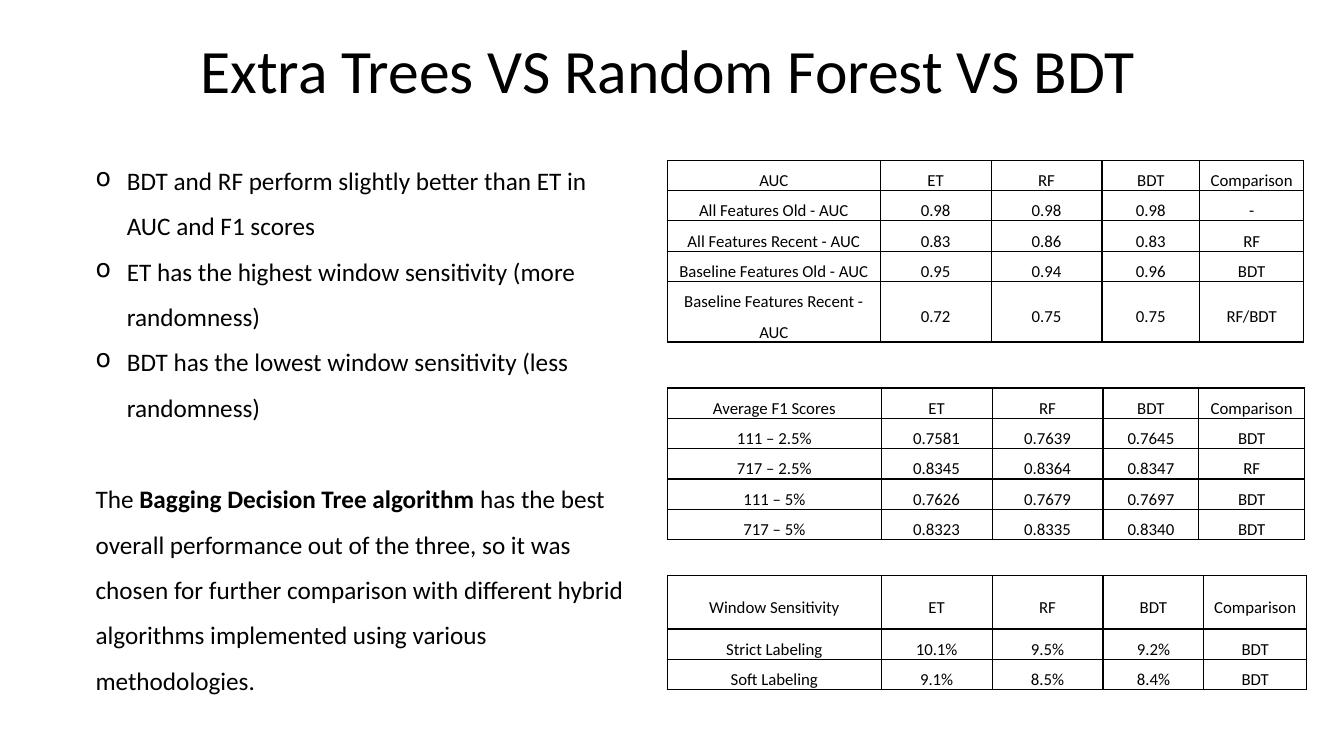
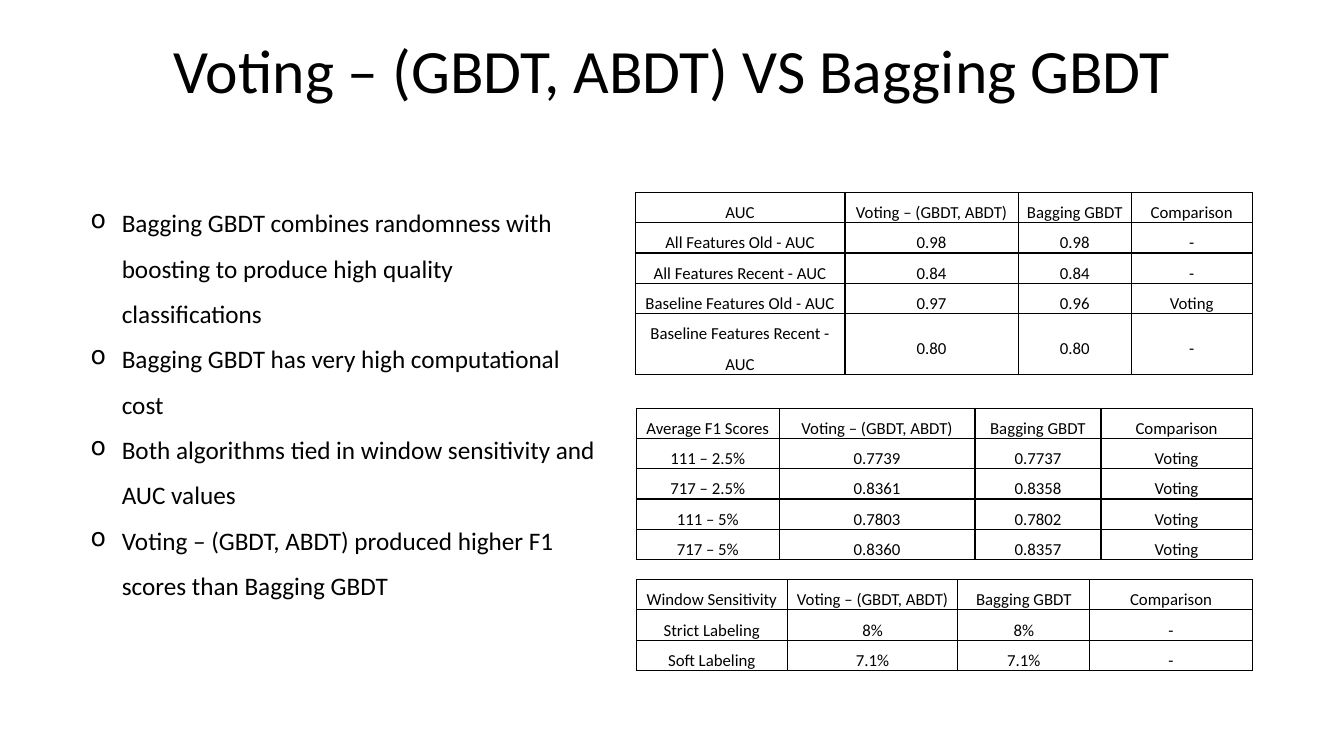
"""Builds two slides that compare tree ensembles by score tables."""
import dataclasses

import lxml.etree
import pptx
import pptx.dml.color
import pptx.enum.text
import pptx.oxml.ns
import pptx.slide
import pptx.table
import pptx.text.text
import pptx.util

SCALE = 9144


@dataclasses.dataclass(frozen=True)
class Theme:
    """Colours, font and type sizes."""
    ink: str = "000000"
    font: str = "Calibri"
    head: int = 44
    body: int = 18
    cell: int = 12
    rule: int = 1
    gap: int = 33


@dataclasses.dataclass(frozen=True)
class Box:
    """A place on the slide in px."""
    left: int
    top: int
    width: int
    height: int


@dataclasses.dataclass(frozen=True)
class Para:
    """A body paragraph of (text, bold) runs."""
    runs: tuple[tuple[str, bool], ...]
    bullet: bool = True


@dataclasses.dataclass(frozen=True)
class Grid:
    """A score table: corner label, row labels and values by row."""
    left: int
    top: int
    widths: tuple[int, ...]
    labels: tuple[str, ...]
    values: tuple[tuple[str, ...], ...]
    first: int = 30


@dataclasses.dataclass(frozen=True)
class Page:
    """All that one slide shows."""
    title: str
    place: Box
    notes: Box
    paras: tuple[Para, ...]
    heads: tuple[str, ...]
    grids: tuple[Grid, ...]


THEME = Theme()
ROW = 30
INDENT = 31
INSET = 7
AUC = ("AUC", "All Features Old - AUC", "All Features Recent - AUC",
       "Baseline Features Old - AUC", "Baseline Features Recent - AUC")
SCORES = ("Average F1 Scores", "111 – 2.5%", "717 – 2.5%", "111 – 5%", "717 – 5%")
WINDOW = ("Window Sensitivity", "Strict Labeling", "Soft Labeling")


def points(*texts: str) -> tuple[Para, ...]:
    """Make one plain bullet of each text."""
    return tuple(Para(((text, False),)) for text in texts)


PAGES = (
    Page(
        "Extra Trees VS Random Forest VS BDT",
        Box(94, 0, 1137, 145),
        Box(85, 144, 547, 596),
        points(
            "BDT and RF perform slightly better than ET in AUC and F1 scores",
            "ET has the highest window sensitivity (more randomness)",
            "BDT has the lowest window sensitivity (less randomness)",
        ) + (Para((
            ("The ", False),
            ("Bagging Decision Tree algorithm ", True),
            ("has the best overall performance out of the three, so it was chosen "
             "for further comparison with different hybrid algorithms implemented "
             "using various methodologies.", False),
        ), bullet=False),),
        ("ET", "RF", "BDT", "Comparison"),
        (
            Grid(662, 385, (212, 110, 110, 95, 105), SCORES, (
                ("0.7581", "0.7639", "0.7645", "BDT"),
                ("0.8345", "0.8364", "0.8347", "RF"),
                ("0.7626", "0.7679", "0.7697", "BDT"),
                ("0.8323", "0.8335", "0.8340", "BDT"))),
            Grid(662, 571, (212, 110, 110, 100, 102), WINDOW, (
                ("10.1%", "9.5%", "9.2%", "BDT"),
                ("9.1%", "8.5%", "8.4%", "BDT")), first=53),
            Grid(662, 159, (211, 110, 110, 97, 103), AUC, (
                ("0.98", "0.98", "0.98", "-"),
                ("0.83", "0.86", "0.83", "RF"),
                ("0.95", "0.94", "0.96", "BDT"),
                ("0.72", "0.75", "0.75", "RF/BDT"))),
        ),
    ),
    Page(
        "Voting – (GBDT, ABDT) VS Bagging GBDT",
        Box(92, 0, 1150, 145),
        Box(80, 186, 523, 414),
        points(
            "Bagging GBDT combines randomness with boosting to produce high quality "
            "classifications",
            "Bagging GBDT has very high computational cost",
            "Both algorithms tied in window sensitivity and AUC values",
            "Voting – (GBDT, ABDT) produced higher F1 scores than Bagging GBDT",
        ),
        ("Voting – (GBDT, ABDT)", "Bagging GBDT", "Comparison"),
        (
            Grid(631, 405, (142, 194, 125, 150), SCORES, (
                ("0.7739", "0.7737", "Voting"),
                ("0.8361", "0.8358", "Voting"),
                ("0.7803", "0.7802", "Voting"),
                ("0.8360", "0.8357", "Voting"))),
            Grid(631, 575, (150, 169, 131, 161), WINDOW, (
                ("8%", "8%", "-"),
                ("7.1%", "7.1%", "-"))),
            Grid(630, 191, (208, 172, 112, 120), AUC, (
                ("0.98", "0.98", "-"),
                ("0.84", "0.84", "-"),
                ("0.97", "0.96", "Voting"),
                ("0.80", "0.80", "-"))),
        ),
    ),
)


def px(count: int) -> pptx.util.Emu:
    """Turn px into EMU."""
    return pptx.util.Emu(count * SCALE)


def style(para: pptx.text.text._Paragraph, size: int, lines: float,
          center: bool = True) -> None:
    """Set spacing, alignment and font of a paragraph."""
    align = pptx.enum.text.PP_ALIGN
    para.alignment = align.CENTER if center else align.LEFT
    para.line_spacing = lines
    para.font.size = pptx.util.Pt(size)
    para.font.name = THEME.font
    para.font.color.rgb = pptx.dml.color.RGBColor.from_string(THEME.ink)


def frame(slide: pptx.slide.Slide, box: Box) -> pptx.text.text.TextFrame:
    """Add a wrapping text box."""
    shape = slide.shapes.add_textbox(
        px(box.left), px(box.top), px(box.width), px(box.height))
    shape.text_frame.word_wrap = True
    return shape.text_frame


def title(slide: pptx.slide.Slide, text: str, box: Box) -> None:
    """Draw the slide title."""
    area = frame(slide, box)
    area.vertical_anchor = pptx.enum.text.MSO_ANCHOR.MIDDLE
    area.text = text
    style(area.paragraphs[0], THEME.head, 0.9)


def bullet(para: pptx.text.text._Paragraph) -> None:
    """Give a paragraph a hanging round bullet."""
    props = para._p.get_or_add_pPr()
    props.set("marL", str(px(INDENT)))
    props.set("indent", str(-px(INDENT)))
    mark = lxml.etree.SubElement(props, pptx.oxml.ns.qn("a:buChar"))
    mark.set("char", "o")


def body(slide: pptx.slide.Slide, paras: tuple[Para, ...], box: Box) -> None:
    """Draw the body text."""
    area = frame(slide, box)
    area.auto_size = pptx.enum.text.MSO_AUTO_SIZE.SHAPE_TO_FIT_TEXT
    for index, item in enumerate(paras):
        para = area.add_paragraph() if index else area.paragraphs[0]
        if item.bullet:
            bullet(para)
        else:
            para.space_before = pptx.util.Pt(THEME.gap)
        style(para, THEME.body, 1.5, center=False)
        for text, bold in item.runs:
            run = para.add_run()
            run.text = text
            if bold:
                run.font.bold = True


def border(cell: pptx.table._Cell) -> None:
    """Rule all four sides of a cell."""
    qn = pptx.oxml.ns.qn
    props = cell._tc.get_or_add_tcPr()
    for side in "LRTB":
        line = lxml.etree.SubElement(props, qn(f"a:ln{side}"))
        line.set("w", str(pptx.util.Pt(THEME.rule)))
        fill = lxml.etree.SubElement(line, qn("a:solidFill"))
        lxml.etree.SubElement(fill, qn("a:srgbClr")).set("val", THEME.ink)


def fill(cell: pptx.table._Cell, text: str) -> None:
    """Write and style one cell."""
    cell.text = text
    cell.vertical_anchor = pptx.enum.text.MSO_ANCHOR.MIDDLE
    cell.margin_left = cell.margin_right = px(INSET)
    cell.margin_top = cell.margin_bottom = 0
    border(cell)
    cell.fill.background()
    style(cell.text_frame.paragraphs[0], THEME.cell, 1.5)


def table(slide: pptx.slide.Slide, grid: Grid, heads: tuple[str, ...]) -> None:
    """Draw one score table."""
    rows = (heads, *grid.values)
    sizes = [grid.first] + [ROW] * len(grid.values)
    shape = slide.shapes.add_table(
        len(rows), len(grid.widths), px(grid.left), px(grid.top),
        px(sum(grid.widths)), px(sum(sizes)))
    sheet = shape.table
    sheet.first_row = sheet.horz_banding = False
    for column, width in zip(sheet.columns, grid.widths):
        column.width = px(width)
    for line, size, label, row in zip(sheet.rows, sizes, grid.labels, rows):
        line.height = px(size)
        for cell, text in zip(line.cells, (label, *row)):
            fill(cell, text)


def main() -> None:
    """Build and save the deck."""
    deck = pptx.Presentation()
    deck.slide_width, deck.slide_height = px(1333), px(750)
    for page in PAGES:
        slide = deck.slides.add_slide(deck.slide_layouts[6])
        title(slide, page.title, page.place)
        for grid in page.grids:
            table(slide, grid, page.heads)
        body(slide, page.paras, page.notes)
    deck.save("out.pptx")


if __name__ == "__main__":
    main()
